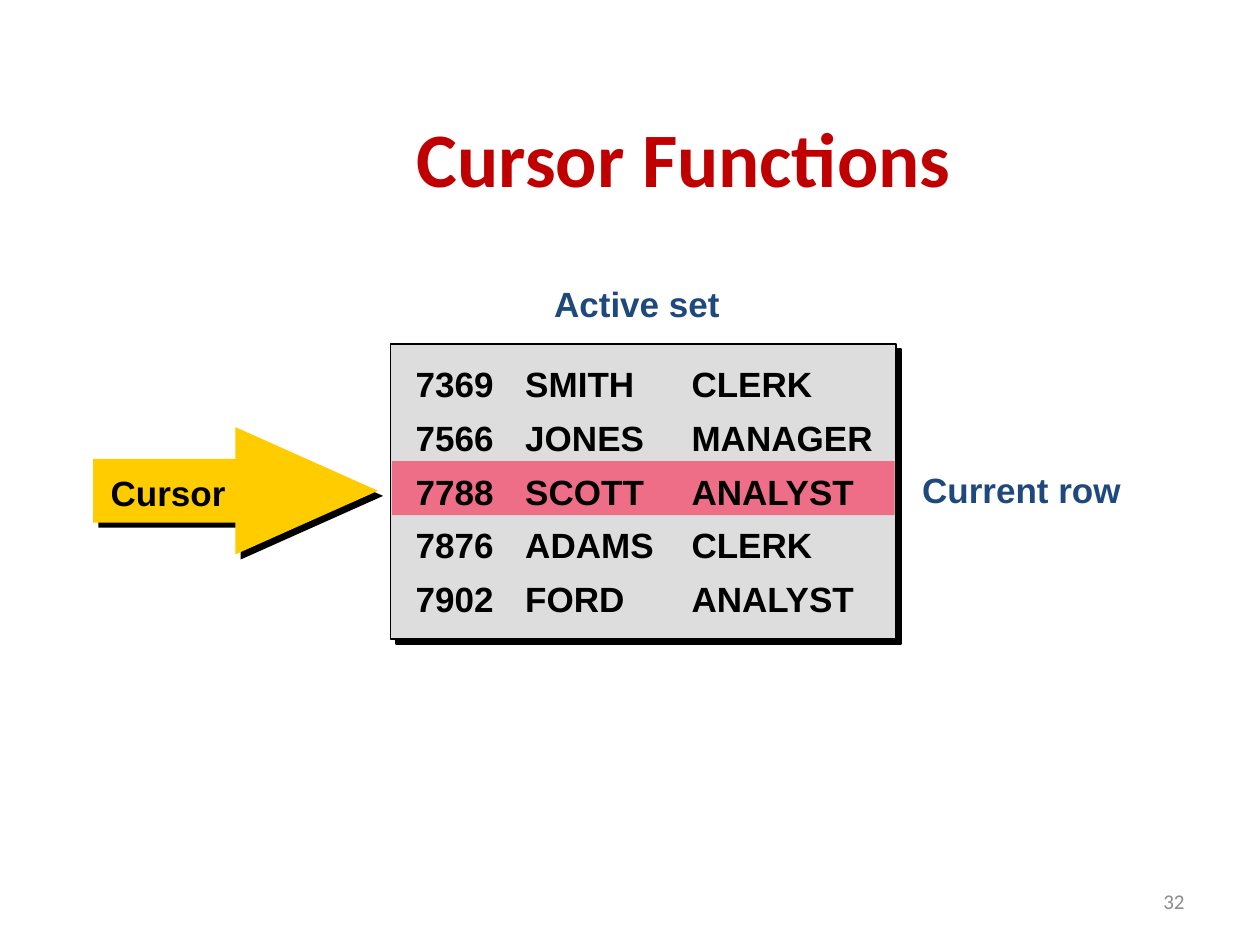
from lxml.etree import SubElement
from pptx import Presentation
from pptx.dml.color import RGBColor
from pptx.enum.shapes import MSO_SHAPE
from pptx.enum.text import MSO_ANCHOR, MSO_AUTO_SIZE, PP_ALIGN
from pptx.oxml.ns import qn
from pptx.util import Inches, Pt

SLIDE_WIDTH, SLIDE_HEIGHT = Inches(10), Inches(7.5)
BLACK, BLUE = "000000", "1F497D"
EMPLOYEES = [
    ("7369", "SMITH", "CLERK"),
    ("7566", "JONES", "MANAGER"),
    ("7788", "SCOTT", "ANALYST"),
    ("7876", "ADAMS", "CLERK"),
    ("7902", "FORD", "ANALYST"),
]


def color(value):
    return RGBColor.from_string(value)


def place(left, top, width, height):
    """Turn percentages of the slide's size into lengths."""
    return (int(SLIDE_WIDTH * left / 100), int(SLIDE_HEIGHT * top / 100),
            int(SLIDE_WIDTH * width / 100), int(SLIDE_HEIGHT * height / 100))


def add_tabs(para, positions):
    tab_list = SubElement(para._p.get_or_add_pPr(), qn("a:tabLst"))
    for position in positions:
        SubElement(tab_list, qn("a:tab"), pos=str(Inches(position)), algn="l")


def add_text(shapes, text, area, *, size=20, font="Arial", fill=BLACK,
             bold=True, align=PP_ALIGN.LEFT, anchor=MSO_ANCHOR.TOP,
             wrap=True, line_spacing=0.95, space_before=8, tabs=()):
    box = shapes.add_textbox(*place(*area))
    frame = box.text_frame
    frame.word_wrap = wrap
    frame.auto_size = MSO_AUTO_SIZE.NONE
    frame.vertical_anchor = anchor
    for index, line in enumerate(text.split("\n")):
        para = frame.paragraphs[0] if index == 0 else frame.add_paragraph()
        para.alignment = align
        para.line_spacing = line_spacing
        para.space_before = Pt(space_before)
        if tabs:
            add_tabs(para, tabs)
        span = para.add_run()
        span.text = line
        span.font.size = Pt(size)
        span.font.name = font
        span.font.bold = bold
        span.font.color.rgb = color(fill)
    return box


def add_block(shapes, kind, area, fill, line=None):
    block = shapes.add_shape(kind, *place(*area))
    block.shadow.inherit = False
    block.fill.solid()
    block.fill.fore_color.rgb = color(fill)
    if line:
        block.line.color.rgb = color(line)
        block.line.width = Pt(1)
    else:
        block.line.fill.background()
    return block


def add_hard_shadow(block):
    effects = block._element.spPr.find(qn("a:effectLst"))
    shadow = SubElement(effects, qn("a:outerShdw"), blurRad="0",
                        dist=str(Pt(4.2)), dir=str(45 * 60000),
                        algn="ctr", rotWithShape="0")
    SubElement(shadow, qn("a:srgbClr"), val=BLACK)


def set_opacity(block, percent):
    fill = block._element.spPr.find(qn("a:solidFill"))
    SubElement(fill[0], qn("a:alpha"), val=str(percent * 1000))


def add_active_set(shapes):
    panel = add_block(shapes, MSO_SHAPE.RECTANGLE, (31, 36.4, 40.1, 31.2),
                      "DDDDDD", line=BLACK)
    add_hard_shadow(panel)
    current_row = add_block(shapes, MSO_SHAPE.RECTANGLE,
                            (31.1, 48.8, 39.9, 5.73), "FF0033")
    set_opacity(current_row, 50)
    add_text(shapes, "\n".join("\t".join(row) for row in EMPLOYEES),
             (32, 38, 52.1, 28.67), tabs=(0.87, 2.19))


def add_cursor(shapes):
    group = shapes.add_group_shape()
    arrow = add_block(group.shapes, MSO_SHAPE.RIGHT_ARROW,
                      (7.4, 45.2, 22.6, 13.47), "FFCC00")
    arrow.adjustments[0] = 0.5
    arrow.adjustments[1] = 1.12
    add_hard_shadow(arrow)
    add_text(group.shapes, "Cursor", (7.8, 49.6, 11.9, 5.6))


def main():
    deck = Presentation()
    deck.slide_width, deck.slide_height = SLIDE_WIDTH, SLIDE_HEIGHT
    page = deck.slides.add_slide(deck.slide_layouts[6])
    shapes = page.shapes

    add_text(shapes, "Cursor Functions", (31.9, 11.07, 44.8, 11.2), size=44,
             font="Calibri", fill="C00000", align=PP_ALIGN.CENTER, wrap=False,
             line_spacing=1.0, space_before=0)
    add_active_set(shapes)
    add_cursor(shapes)
    add_text(shapes, "Active set", (40.3, 29.6, 20.5, 5.6), fill=BLUE,
             align=PP_ALIGN.CENTER)
    add_text(shapes, "Current row", (72.2, 49.2, 20.5, 5.6), fill=BLUE)
    add_text(shapes, "32", (71.7, 92.67, 23.3, 5.33), size=12, font="Calibri",
             fill="8C8C8C", bold=False, align=PP_ALIGN.RIGHT,
             anchor=MSO_ANCHOR.MIDDLE, line_spacing=1.0, space_before=0)
    deck.save("out.pptx")


if __name__ == "__main__":
    main()
